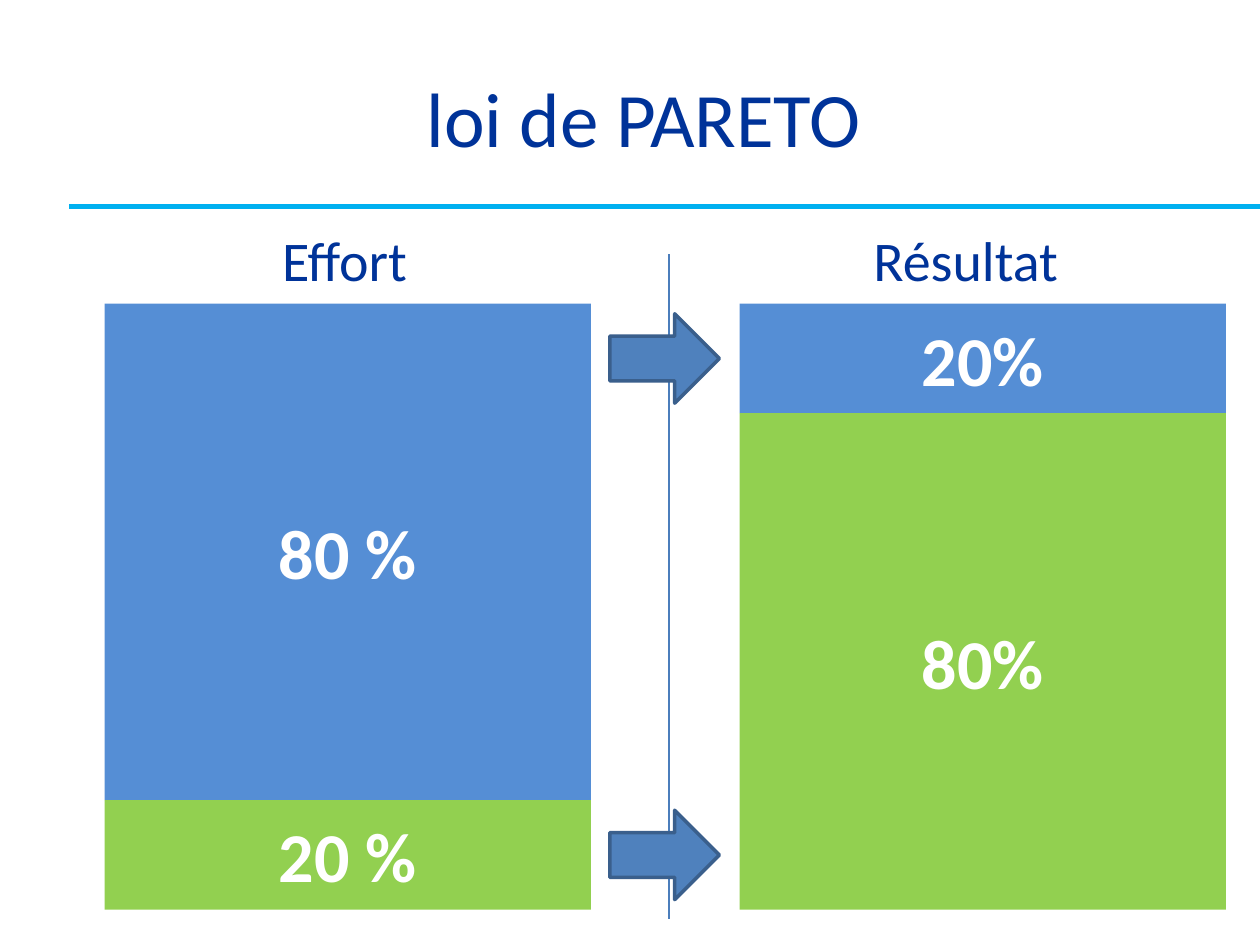
from dataclasses import dataclass

from lxml.etree import SubElement
from pptx import Presentation
from pptx.dml.color import RGBColor
from pptx.enum.shapes import MSO_CONNECTOR, MSO_SHAPE
from pptx.enum.text import MSO_ANCHOR, PP_ALIGN
from pptx.oxml.ns import qn
from pptx.util import Inches, Pt

COLORS = {
    "navy": "003399", "cyan": "00B0F0", "divider": "4B7EBC",
    "arrow": "4F81BD", "arrow_edge": "3A5F8C",
    "blue": "558ED5", "green": "92D050", "white": "FFFFFF",
}
FONT = "Calibri"
BAR_TOP, BAR_WIDTH = 2.41, 3.86
SMALL, LARGE = 0.87, 3.94
ARROW_LEFT, ARROW_WIDTH = 4.92, 0.71


@dataclass
class Block:
    """One coloured part of a bar."""
    text: str
    height: float
    color: str


@dataclass
class Bar:
    """A heading above blocks stacked from top to bottom."""
    heading: str
    heading_left: float
    left: float
    blocks: list[Block]


BARS = [
    Bar("Effort", 0.78, 0.83,
        [Block("80 %", LARGE, "blue"), Block("20 %", SMALL, "green")]),
    Bar("Résultat", 5.71, 5.87,
        [Block("20%", SMALL, "blue"), Block("80%", LARGE, "green")]),
]


def rgb(name: str) -> RGBColor:
    """Look up a named colour."""
    return RGBColor.from_string(COLORS[name])


def set_text(sp, text: str, size: float, color: str, bold: bool = False) -> None:
    """Write one centred paragraph in a shape."""
    tf = sp.text_frame
    tf.word_wrap = True
    tf.vertical_anchor = MSO_ANCHOR.MIDDLE
    p = tf.paragraphs[0]
    p.text = text
    p.alignment = PP_ALIGN.CENTER
    font = p.font
    font.name, font.size, font.bold = FONT, Pt(size), bold
    font.color.rgb = rgb(color)


def place(sp, left: float, top: float, width: float, height: float) -> None:
    """Move and size a shape in inches."""
    sp.left, sp.top = Inches(left), Inches(top)
    sp.width, sp.height = Inches(width), Inches(height)


def add_line(s, x1: float, y1: float, x2: float, y2: float,
             color: str, width: float) -> None:
    """Draw a straight line without shadow."""
    line = s.shapes.add_connector(MSO_CONNECTOR.STRAIGHT, Inches(x1),
                                  Inches(y1), Inches(x2), Inches(y2))
    line.line.color.rgb = rgb(color)
    line.line.width = Pt(width)
    SubElement(line._element.spPr, qn("a:effectLst"))


def add_filled(s, kind: MSO_SHAPE, left: float, top: float,
               width: float, height: float, color: str):
    """Add a flat shape without outline."""
    sp = s.shapes.add_shape(kind, Inches(left), Inches(top),
                            Inches(width), Inches(height))
    sp.shadow.inherit = False
    sp.fill.solid()
    sp.fill.fore_color.rgb = rgb(color)
    sp.line.fill.background()
    return sp


def add_arrow(s, top: float) -> None:
    """Add an arrow pointing from effort to result."""
    sp = add_filled(s, MSO_SHAPE.DOWN_ARROW, ARROW_LEFT, top,
                    ARROW_WIDTH, SMALL, "arrow")
    sp.rotation = 270
    sp.line.color.rgb = rgb("arrow_edge")
    sp.line.width = Pt(2)


def add_bar(s, bar: Bar) -> None:
    """Add a heading and its stacked blocks."""
    heading = s.shapes.add_textbox(Inches(bar.heading_left), Inches(1.62),
                                   Inches(3.91), Inches(SMALL))
    set_text(heading, bar.heading, 32, "navy")
    top = BAR_TOP
    for block in bar.blocks:
        sp = add_filled(s, MSO_SHAPE.RECTANGLE, bar.left, top,
                        BAR_WIDTH, block.height, block.color)
        set_text(sp, block.text, 40, "white", bold=True)
        top += block.height


def main() -> None:
    """Build the slide and save it."""
    prs = Presentation()
    prs.slide_width, prs.slide_height = Inches(10), Inches(7.5)
    s = prs.slides.add_slide(prs.slide_layouts[5])
    title = s.shapes.title
    place(title, 0.5, 0.3, 9.22, 1.25)
    set_text(title, "loi de PARETO", 44, "navy")
    add_line(s, 0.55, 1.64, 10, 1.64, "cyan", 2.75)
    add_line(s, 5.31, 2.02, 5.31, 7.29, "divider", 0.75)
    for bar in BARS:
        add_bar(s, bar)
    for top in (BAR_TOP, BAR_TOP + LARGE):
        add_arrow(s, top)
    prs.save("out.pptx")


main()
